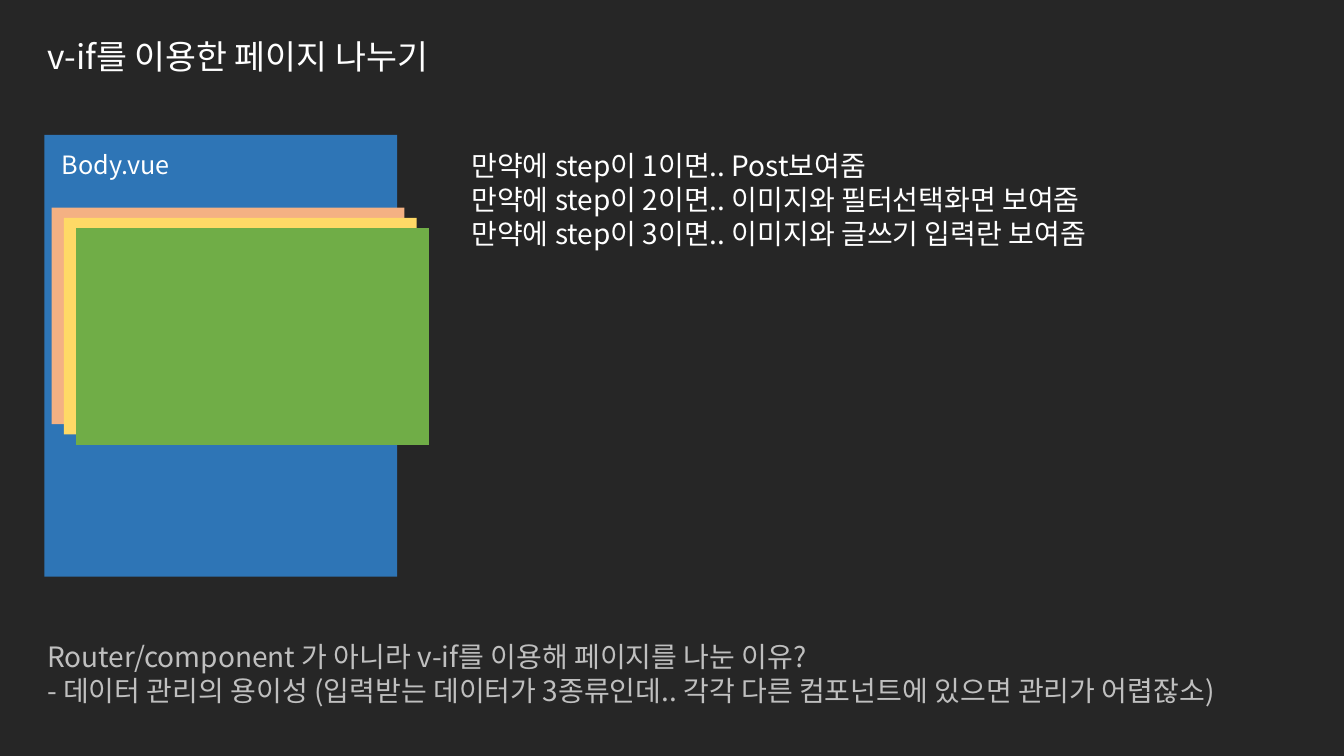
from lxml.etree import SubElement
from pptx import Presentation
from pptx.dml.color import RGBColor
from pptx.enum.shapes import MSO_SHAPE
from pptx.enum.text import MSO_AUTO_SIZE, PP_ALIGN
from pptx.oxml.ns import qn
from pptx.util import Cm, Pt

BACKGROUND = RGBColor(0x26, 0x26, 0x26)
WHITE = RGBColor(0xFF, 0xFF, 0xFF)
GRAY = RGBColor(0xBF, 0xBF, 0xBF)
BLUE = RGBColor(0x2E, 0x75, 0xB6)
ORANGE = RGBColor(0xF4, 0xB1, 0x83)
YELLOW = RGBColor(0xFF, 0xD9, 0x66)
GREEN = RGBColor(0x70, 0xAD, 0x47)


class SlideBuilder:
    """Draw panels and text boxes in one style on the current slide."""

    font_name = "Noto Sans CJK KR"

    def __init__(self, presentation):
        self.slide = presentation.slides.add_slide(presentation.slide_layouts[6])
        fill = self.slide.background.fill
        fill.solid()
        fill.fore_color.rgb = BACKGROUND

    def panel(self, left, top, width, height, color):
        shape = self.slide.shapes.add_shape(
            MSO_SHAPE.RECTANGLE, Cm(left), Cm(top), Cm(width), Cm(height))
        shape.shadow.inherit = False
        shape.fill.solid()
        shape.fill.fore_color.rgb = color
        shape.line.fill.background()

    def text(self, left, top, width, height, lines, size, color=WHITE,
             wrap=True, alignment=PP_ALIGN.LEFT, line_spacing=None):
        shape = self.slide.shapes.add_textbox(
            Cm(left), Cm(top), Cm(width), Cm(height))
        text_frame = shape.text_frame
        text_frame.text = "\n".join(lines)
        text_frame.word_wrap = wrap
        text_frame.auto_size = MSO_AUTO_SIZE.SHAPE_TO_FIT_TEXT
        for paragraph in text_frame.paragraphs:
            paragraph.alignment = alignment
            paragraph.line_spacing = line_spacing
            for run in paragraph.runs:
                run.font.size = Pt(size)
                run.font.color.rgb = color
                run.font.name = self.font_name
                east_asian = SubElement(run.font._element, qn("a:ea"))
                east_asian.set("typeface", self.font_name)


def main():
    presentation = Presentation()
    presentation.slide_width = Cm(33.87)
    presentation.slide_height = Cm(19.05)
    builder = SlideBuilder(presentation)

    builder.panel(1.12, 3.4, 8.89, 11.13, BLUE)
    builder.text(1.3, 3.63, 3.23, 1.02, ["Body.vue"], 18,
                 wrap=False, alignment=PP_ALIGN.CENTER)
    builder.text(0.94, 0.69, 24.31, 1.4, ["v-if를 이용한 페이지 나누기"], 24,
                 line_spacing=1.1)
    builder.text(11.63, 3.63, 19.05, 2.82, [
        "만약에 step이 1이면.. Post보여줌",
        "만약에 step이 2이면.. 이미지와 필터선택화면 보여줌",
        "만약에 step이 3이면.. 이미지와 글쓰기 입력란 보여줌",
    ], 20)
    builder.text(0.94, 16, 31.14, 1.96, [
        "Router/component 가 아니라 v-if를 이용해 페이지를 나눈 이유?",
        "- 데이터 관리의 용이성 (입력받는 데이터가 3종류인데.. "
        "각각 다른 컴포넌트에 있으면 관리가 어렵잖소)",
    ], 20, GRAY)
    for index, color in enumerate((ORANGE, YELLOW, GREEN)):
        builder.panel(1.3 + 0.31 * index, 5.23 + 0.26 * index, 8.89, 5.46, color)

    presentation.save("out.pptx")


if __name__ == "__main__":
    main()
